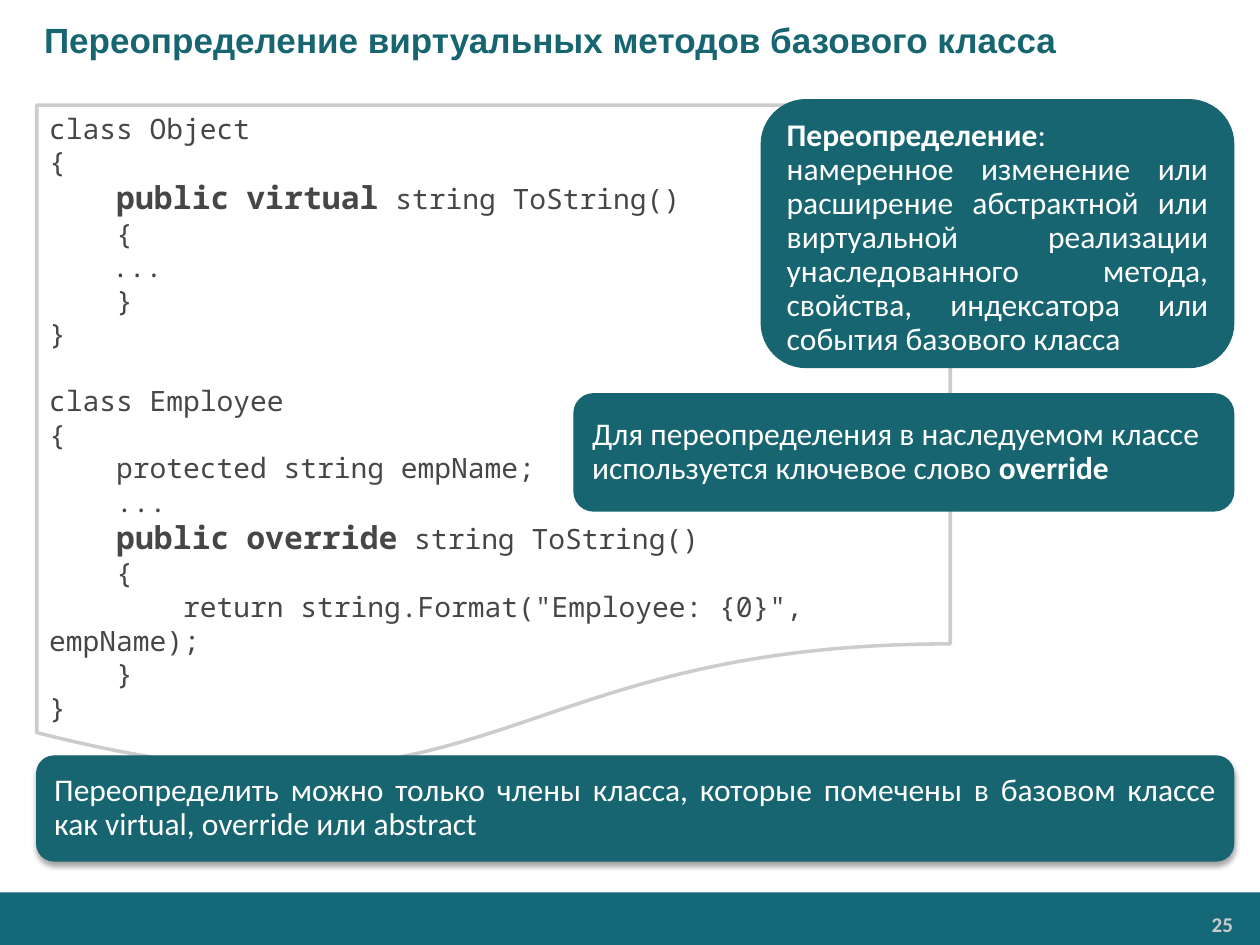
from dataclasses import dataclass

import pptx
import pptx.dml.color
import pptx.enum.shapes
import pptx.enum.text
import pptx.util
from lxml import etree

Pt = pptx.util.Pt
RGB = pptx.dml.color.RGBColor.from_string
SHAPE = pptx.enum.shapes.MSO_SHAPE
ANCHOR = pptx.enum.text.MSO_ANCHOR
ALIGN = pptx.enum.text.PP_ALIGN


@dataclass(frozen=True)
class Theme:
    teal: str = "176571"
    footer: str = "146878"
    grey: str = "CCCCCC"
    code_ink: str = "464547"
    white: str = "FFFFFF"
    title_font: str = "Arial"
    body_font: str = "Calibri"
    code_font: str = "Noto Sans Mono"
    title: int = 20
    body: int = 18
    code: int = 16
    number: int = 12


T = Theme()

# Words between ** marks are bold.
CODE = """class Object
{
    **public** **virtual** string ToString()
    {
\t...
    }
}
class Employee
{
    protected string empName;
    ...
    **public** **override** string ToString()
    {
        return string.Format("Employee: {0}", empName);
    }
}"""


def add_panel(s, kind, box, fill, line=None, width=0.75):
    sp = s.shapes.add_shape(kind, *map(Pt, box))
    sp.shadow.inherit = False
    sp.fill.solid()
    sp.fill.fore_color.rgb = RGB(fill)
    if line:
        sp.line.color.rgb = RGB(line)
        sp.line.width = Pt(width)
    else:
        sp.line.fill.background()
    return sp


def add_soft_shadow(sp):
    effects = sp._element.spPr.find(pptx.oxml.ns.qn("a:effectLst"))
    shadow = etree.SubElement(effects, pptx.oxml.ns.qn("a:outerShdw"),
                              blurRad=str(Pt(3.1)), dist=str(Pt(1.8)),
                              dir="5400000", algn="t", rotWithShape="0")
    color = etree.SubElement(shadow, pptx.oxml.ns.qn("a:srgbClr"), val="000000")
    etree.SubElement(color, pptx.oxml.ns.qn("a:alpha"), val="35000")


def write(tf, lines, font, size, color, align=ALIGN.LEFT, anchor=ANCHOR.TOP,
          spacing=None, bold=False, strong_size=None):
    """Fill a text frame, one paragraph a line; parts between ** are bold."""
    tf.word_wrap = True
    tf.vertical_anchor = anchor
    for i, line in enumerate(lines):
        p = tf.add_paragraph() if i else tf.paragraphs[0]
        p.alignment = align
        if spacing:
            p.line_spacing = spacing
        p.font.name = font
        p.font.size = Pt(size)
        p.font.bold = bold
        p.font.color.rgb = RGB(color)
        for j, part in enumerate(line.split("**")):
            if not part:
                continue
            r = p.add_run()
            r.text = part
            if j % 2:
                r.font.bold = True
                if strong_size:
                    r.font.size = Pt(strong_size)


def add_title(s, box, text):
    tf = s.shapes.add_textbox(*map(Pt, box)).text_frame
    tf.margin_left = Pt(25.2)
    write(tf, [text], T.title_font, T.title, T.teal, anchor=ANCHOR.MIDDLE, bold=True)


def add_footer(s, box, number):
    left, top, width, height = box
    add_panel(s, SHAPE.RECTANGLE, box, T.footer)
    number_box = (left + width - 128, top + 8, 117.5, 20)
    tf = s.shapes.add_textbox(*map(Pt, number_box)).text_frame
    tf.margin_left = tf.margin_right = Pt(5)
    tf.margin_top = tf.margin_bottom = Pt(2.9)
    write(tf, [number], T.body_font, T.number, T.grey, ALIGN.RIGHT, bold=True)


def add_code(s, box, code):
    sp = add_panel(s, SHAPE.FLOWCHART_DOCUMENT, box, T.white, T.grey, 2)
    lines = code.splitlines()
    write(sp.text_frame, lines, T.code_font, T.code, T.code_ink, strong_size=T.body)
    for p, line in zip(sp.text_frame.paragraphs[1:], lines[1:]):
        if line.startswith("class "):
            p.space_before = Pt(19)


def add_callout(s, box, lines, align=ALIGN.LEFT, anchor=ANCHOR.MIDDLE):
    sp = add_panel(s, SHAPE.ROUNDED_RECTANGLE, box, T.teal, T.teal)
    write(sp.text_frame, lines, T.body_font, T.body, T.white, align, anchor, 0.9)
    return sp


def main():
    prs = pptx.Presentation()
    prs.slide_width, prs.slide_height = Pt(720), Pt(540)
    s = prs.slides.add_slide(prs.slide_layouts[6])
    left, right = 21, 705

    add_footer(s, (0, 510, 720, 30), "25")
    add_title(s, (0, 0, 720, 45), "Переопределение виртуальных методов базового класса")
    add_code(s, (left, 60, 522, 384), CODE)
    add_callout(s, (right - 270, 57, 270, 153),
                ["**Переопределение**:\u00a0".replace("\u00a0", ""),
                 "намеренное изменение или расширение абстрактной или виртуальной  "
                 "реализации унаследованного метода, свойства, индексатора или "
                 "события базового класса"],
                ALIGN.JUSTIFY, ANCHOR.TOP)
    add_callout(s, (right - 377, 225, 377, 67),
                ["Для переопределения в наследуемом классе используется "
                 "ключевое слово **override**"])
    note = add_callout(s, (left, 432, right - left, 60),
                       ["Переопределить можно только члены класса, которые помечены "
                        "в базовом классе как virtual, override или abstract"],
                       ALIGN.JUSTIFY)
    add_soft_shadow(note)

    prs.save("out.pptx")


if __name__ == "__main__":
    main()
